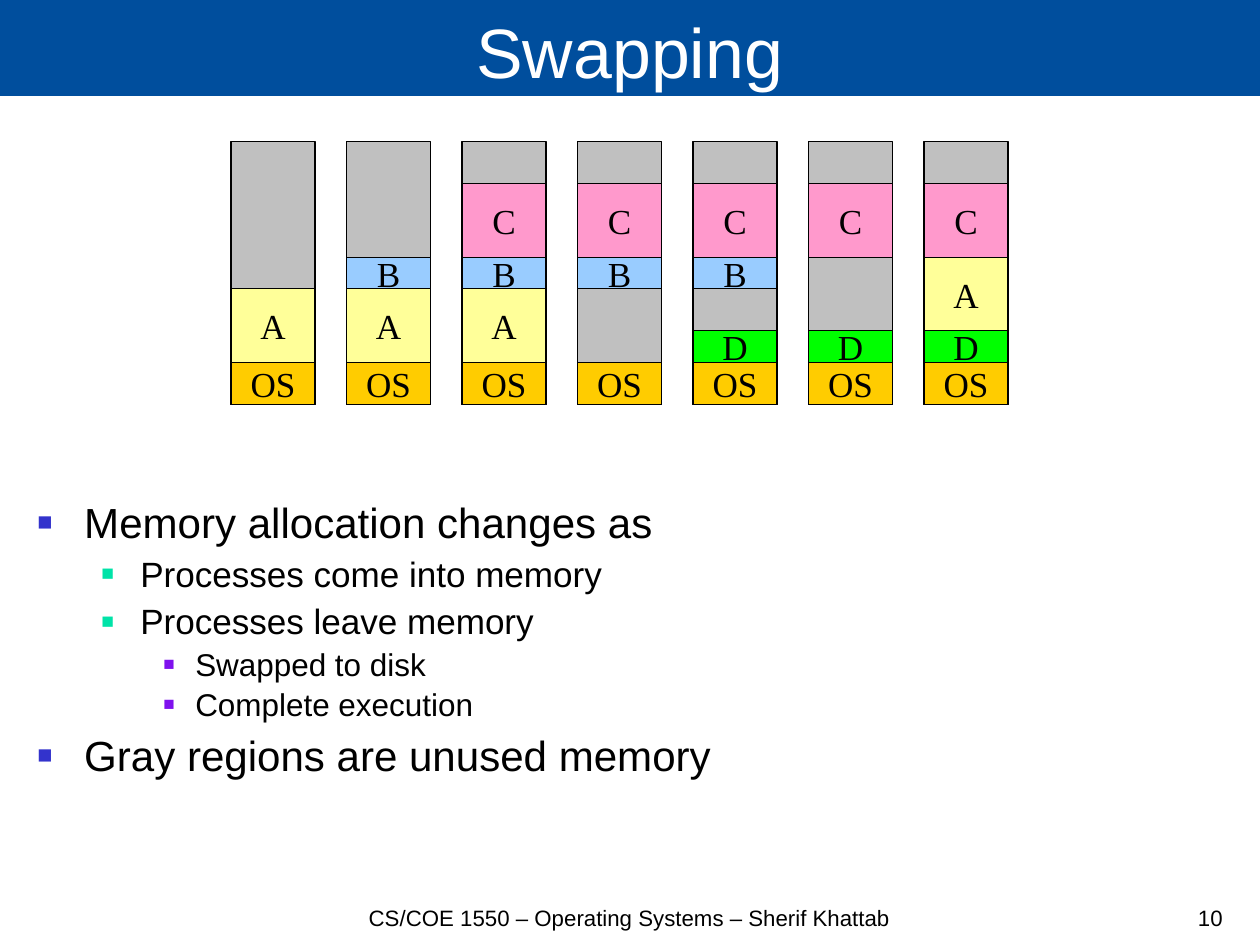
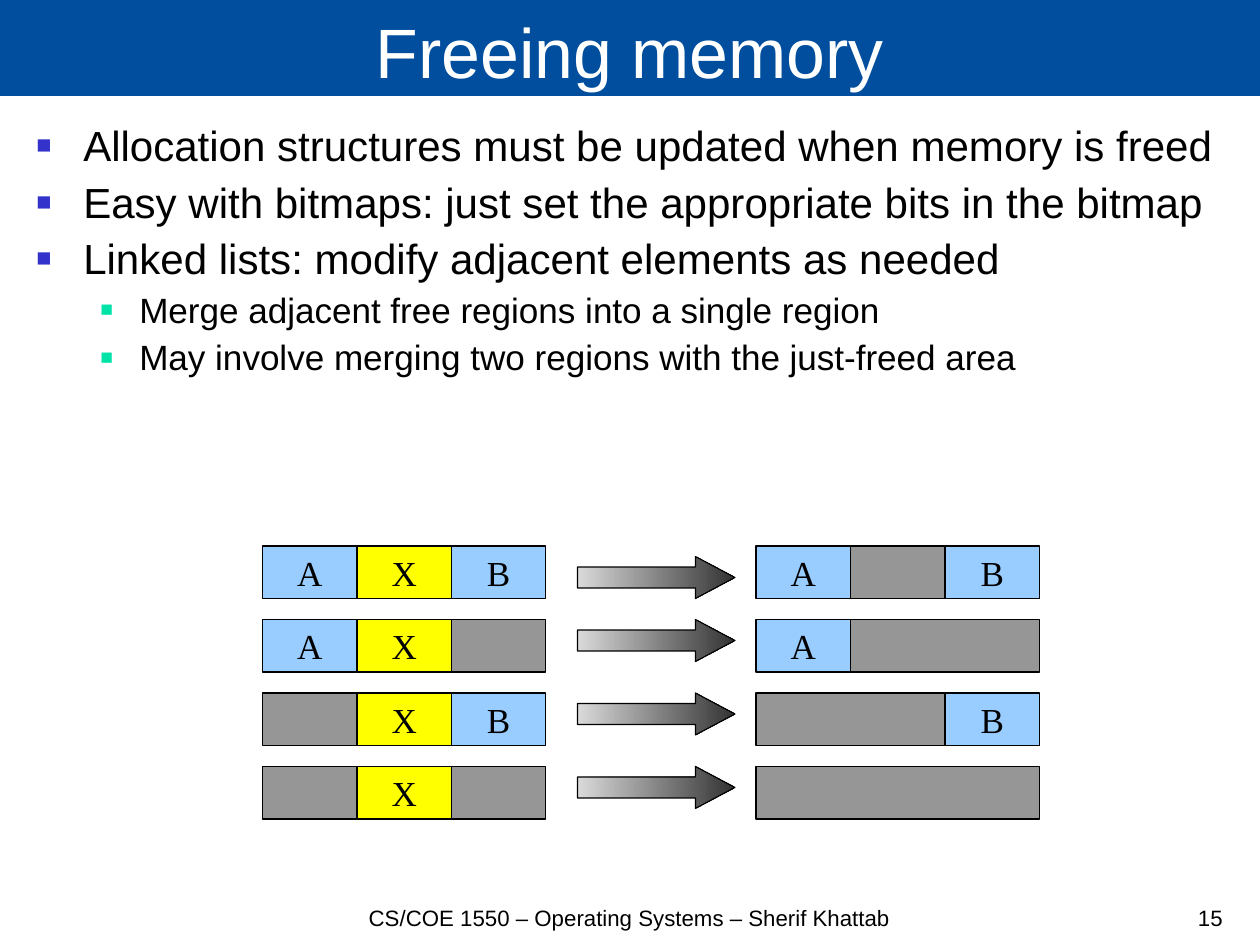
from lxml.etree import SubElement
from pptx import Presentation
from pptx.dml.color import RGBColor
from pptx.enum.shapes import MSO_SHAPE as Shape
from pptx.enum.text import MSO_ANCHOR as Anchor, PP_ALIGN as Align
from pptx.oxml.ns import qn
from pptx.util import Emu, Pt

EMU_PER_PX = 8000
WIDTH, HEIGHT = 1260, 945
FOOTER = "CS/COE 1550 – Operating Systems – Sherif Khattab"

COLORS = {
    "band": "004E9D", "white": "FFFFFF", "black": "000000",
    "bullet0": "3333CC", "bullet1": "00E3A8", "bullet2": "7F11EE",
    "unused": "C0C0C0", "free": "969696",
    "orange": "FFCC00", "cream": "FFFF99", "sky": "99CCFF",
    "pink": "FF99CC", "green": "00FF00", "yellow": "FFFF00",
    "arrow_start": "DADADA", "arrow_end": "333333",
}

# level: (text indent px, hanging px, size pt, space before pt)
LEVELS = [(47, 47, 26.5, 3.8), (103, 39, 22.1, 3.3), (158, 32, 19.8, 1.8)]


def px(n):
    return Emu(n * EMU_PER_PX)


def grid(n):
    """Diagram units: two units make 21 px."""
    return Emu(int(px(21) * n / 2))


def rgb(name):
    return RGBColor.from_string(COLORS[name])


def add_text(p, text, size=14, font="Arial", color="black", align=Align.LEFT):
    p.alignment = align
    r = p.add_run()
    r.text = text
    r.font.size = Pt(size)
    r.font.name = font
    r.font.color.rgb = rgb(color)


def add_bullet(p, level):
    indent, hanging, _, before = LEVELS[level]
    p.level = level
    p.space_before = Pt(before)
    pPr = p._p.get_or_add_pPr()
    pPr.set("marL", str(px(indent)))
    pPr.set("indent", str(-px(hanging)))
    color = SubElement(pPr, qn("a:buClr"))
    SubElement(color, qn("a:srgbClr"), val=COLORS[f"bullet{level}"])
    SubElement(pPr, qn("a:buSzPct"), val="60000")
    SubElement(pPr, qn("a:buFont"), typeface="Arial")
    SubElement(pPr, qn("a:buChar"), char="■")


class Deck:
    def __init__(self):
        self.prs = Presentation()
        self.prs.slide_width, self.prs.slide_height = px(WIDTH), px(HEIGHT)
        self.s = None

    def new_slide(self, title, number):
        self.s = self.prs.slides.add_slide(self.prs.slide_layouts[6])
        band = self.shape(Shape.RECTANGLE, px(0), px(-1), px(WIDTH), px(97))
        band.fill.solid()
        band.fill.fore_color.rgb = rgb("band")
        band.line.fill.background()
        tf = band.text_frame
        tf.vertical_anchor = Anchor.BOTTOM
        tf.margin_bottom = px(4)
        add_text(tf.paragraphs[0], title, size=44, color="white",
                 align=Align.CENTER)
        self.footer(257, 745, FOOTER, Align.CENTER)
        self.footer(1182, 52, str(number), Align.RIGHT)

    def shape(self, kind, x, y, w, h):
        sp = self.s.shapes.add_shape(kind, x, y, w, h)
        sp.shadow.inherit = False
        sp.line.color.rgb = rgb("black")
        sp.line.width = Pt(0.75)
        return sp

    def text_box(self, x, y, w, h):
        tf = self.s.shapes.add_textbox(px(x), px(y), px(w), px(h)).text_frame
        tf.word_wrap = True
        return tf

    def footer(self, x, w, text, align):
        tf = self.text_box(x, 903, w, 34)
        tf.vertical_anchor = Anchor.BOTTOM
        add_text(tf.paragraphs[0], text, align=align)

    def bullets(self, x, y, h, items):
        tf = self.text_box(x, y, 1209, h)
        for i, (level, text) in enumerate(items):
            p = tf.add_paragraph() if i else tf.paragraphs[0]
            add_bullet(p, level)
            add_text(p, text, size=LEVELS[level][2])

    def cell(self, col, row, cols, rows, color, label=""):
        """A memory region placed in diagram units."""
        sp = self.shape(Shape.RECTANGLE, *map(grid, (col, row, cols, rows)))
        sp.fill.solid()
        sp.fill.fore_color.rgb = rgb(color)
        if label:
            tf = sp.text_frame
            tf.word_wrap = False
            tf.vertical_anchor = Anchor.MIDDLE
            tf.margin_top = tf.margin_bottom = 0
            add_text(tf.paragraphs[0], label, size=22.1,
                     font="Times New Roman", align=Align.CENTER)

    def arrow(self, col, row, cols, rows):
        sp = self.shape(Shape.RIGHT_ARROW, *map(grid, (col, row, cols, rows)))
        sp.adjustments[0], sp.adjustments[1] = 0.5, 0.94
        sp.fill.gradient()
        sp.fill.gradient_angle = 0
        for stop, end in zip(sp.fill.gradient_stops, ("start", "end")):
            stop.color.rgb = rgb(f"arrow_{end}")


def swapping(deck):
    deck.new_slide("Swapping", 10)
    deck.bullets(26, 491, 400, [
        (0, "Memory allocation changes as"),
        (1, "Processes come into memory"),
        (1, "Processes leave memory"),
        (2, "Swapped to disk"),
        (2, "Complete execution"),
        (0, "Gray regions are unused memory"),
    ])
    blocks = {"OS": (4, "orange"), "A": (7, "cream"), "B": (3, "sky"),
              "C": (7, "pink"), "D": (3, "green")}
    # Each column is listed from the bottom up; a number is a gap.
    columns = [
        ["OS", "A"],
        ["OS", "A", "B"],
        ["OS", "A", "B", "C"],
        ["OS", 7, "B", "C"],
        ["OS", "D", 4, "B", "C"],
        ["OS", "D", 7, "C"],
        ["OS", "D", "A", "C"],
    ]
    top, total = 13.5, 25
    for i, column in enumerate(columns):
        col, row = 22 + 11 * i, top + total
        deck.cell(col, top, 8, total, "unused")
        for item in column:
            if item in blocks:
                rows, color = blocks[item]
                row -= rows
                deck.cell(col, row, 8, rows, color, item)
            else:
                row -= item


def freeing_memory(deck):
    deck.new_slide("Freeing memory", 15)
    deck.bullets(25, 114, 400, [
        (0, "Allocation structures must be updated when memory is freed"),
        (0, "Easy with bitmaps: just set the appropriate bits in the bitmap"),
        (0, "Linked lists: modify adjacent elements as needed"),
        (1, "Merge adjacent free regions into a single region"),
        (1, "May involve merging two regions with the just-freed area"),
    ])
    colors = {"A": "sky", "B": "sky", "X": "yellow", "": "free"}
    # Regions before and after X is freed: (label, width in cells).
    cases = [
        ([("A", 1), ("X", 1), ("B", 1)], [("A", 1), ("", 1), ("B", 1)]),
        ([("A", 1), ("X", 1), ("", 1)], [("A", 1), ("", 2)]),
        ([("", 1), ("X", 1), ("B", 1)], [("", 2), ("B", 1)]),
        ([("", 1), ("X", 1), ("", 1)], [("", 3)]),
    ]
    for i, case in enumerate(cases):
        row = 52 + 7 * i
        for col, regions in zip((25, 72), case):
            for label, span in regions:
                deck.cell(col, row, 9 * span, 5, colors[label], label)
                col += 9 * span
        deck.arrow(55, row if i else row + 1, 15, 4)


def main():
    deck = Deck()
    swapping(deck)
    freeing_memory(deck)
    deck.prs.save("out.pptx")


if __name__ == "__main__":
    main()
